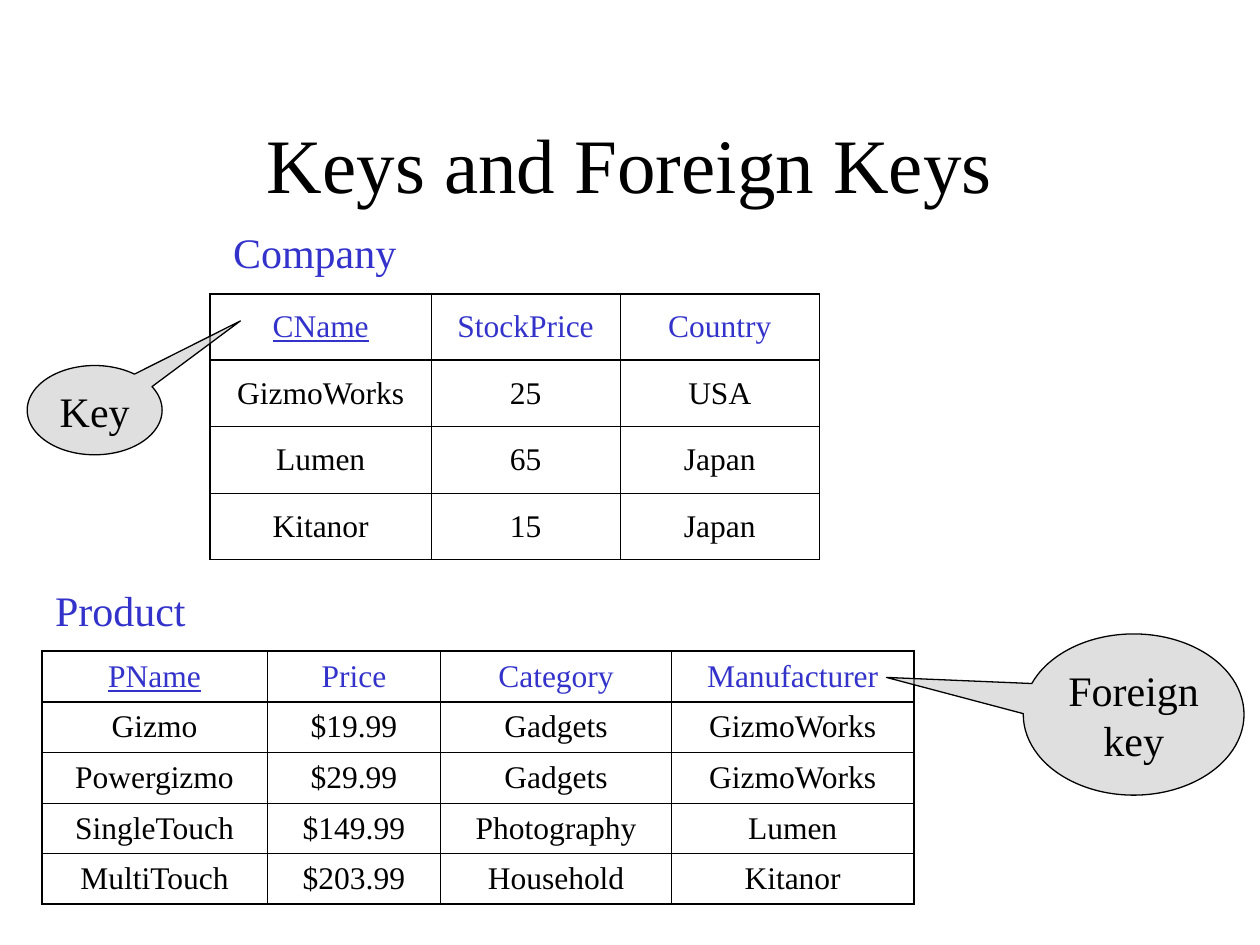
from dataclasses import dataclass

from lxml.etree import SubElement as Sub
from pptx import Presentation as Deck
from pptx.dml.color import RGBColor as Color
from pptx.enum.shapes import MSO_SHAPE as Kind
from pptx.enum.text import MSO_ANCHOR as Anchor, PP_ALIGN as Align
from pptx.oxml.ns import qn
from pptx.util import Cm, Pt


@dataclass(frozen=True)
class Theme:
    face: str = "Times New Roman"
    ink: str = "000000"
    blue: str = "3333CC"
    gray: str = "C0C0C0"
    paper: str = "FFFFFF"
    head: float = 44
    label: float = 24
    body: float = 18
    gap: float = 4.5
    thick: float = 1.08
    thin: float = 0.45
    edge: float = 0.75


@dataclass(frozen=True)
class Box:
    left: float
    top: float
    width: float
    height: float

    def place(self) -> tuple:
        return Cm(self.left), Cm(self.top), Cm(self.width), Cm(self.height)


@dataclass(frozen=True)
class Label:
    text: str
    box: Box
    size: float
    tint: str
    align: Align = Align.LEFT
    anchor: Anchor = Anchor.TOP


@dataclass(frozen=True)
class Grid:
    left: float
    top: float
    cols: tuple
    high: float
    rows: tuple
    fill: str = ""


@dataclass(frozen=True)
class Bubble:
    text: str
    box: Box
    tip: tuple


THEME = Theme()

LABELS = (
    Label("Keys and Foreign Keys", Box(1.9, 1.7, 21.59, 3.18), THEME.head,
          THEME.ink, Align.CENTER, Anchor.MIDDLE),
    Label("Product", Box(0.86, 11.66, 3.6, 1.27), THEME.label, THEME.blue),
    Label("Company", Box(4.45, 4.45, 4.2, 1.27), THEME.label, THEME.blue),
)

GRIDS = (
    Grid(0.84, 13.13, (4.55, 3.49, 4.66, 4.88), 1.02, (
        ("PName", "Price", "Category", "Manufacturer"),
        ("Gizmo", "$19.99", "Gadgets", "GizmoWorks"),
        ("Powergizmo", "$29.99", "Gadgets", "GizmoWorks"),
        ("SingleTouch", "$149.99", "Photography", "Lumen"),
        ("MultiTouch", "$203.99", "Household", "Kitanor"),
    )),
    Grid(4.24, 5.92, (4.45, 3.81, 4.02), 1.34, (
        ("CName", "StockPrice", "Country"),
        ("GizmoWorks", "25", "USA"),
        ("Lumen", "65", "Japan"),
        ("Kitanor", "15", "Japan"),
    ), THEME.paper),
)

BUBBLES = (
    Bubble("Key", Box(0.55, 7.37, 2.72, 1.8), (1.08, -1)),
    Bubble("Foreign\vkey", Box(20.63, 12.78, 4.45, 3.25), (-1.12, -0.23)),
)


def write(frame, text: str, size: float, tint: str, align: Align) -> None:
    para = frame.paragraphs[0]
    para.text = text
    para.alignment = align
    font = para.font
    font.name = THEME.face
    font.size = Pt(size)
    font.color.rgb = Color.from_string(tint)


def add_label(slide, label: Label) -> None:
    frame = slide.shapes.add_textbox(*label.box.place()).text_frame
    frame.word_wrap = True
    frame.vertical_anchor = label.anchor
    write(frame, label.text, label.size, label.tint, label.align)


def rule(cell, sides: dict) -> None:
    props = cell._tc.get_or_add_tcPr()
    for side, thick in sides.items():
        width = Pt(THEME.thick if thick else THEME.thin)
        line = Sub(props, qn(f"a:ln{side}"), w=str(width))
        Sub(Sub(line, qn("a:solidFill")), qn("a:srgbClr"), val=THEME.ink)


def add_grid(slide, grid: Grid) -> None:
    count, span = len(grid.rows), len(grid.cols)
    box = Box(grid.left, grid.top, sum(grid.cols), count * grid.high)
    table = slide.shapes.add_table(count, span, *box.place()).table
    table.first_row = table.horz_banding = False
    for col, width in zip(table.columns, grid.cols):
        col.width = Cm(width)
    for row, texts in enumerate(grid.rows):
        table.rows[row].height = Cm(grid.high)
        for col, text in enumerate(texts):
            cell = table.cell(row, col)
            rule(cell, {"L": col == 0, "R": col == span - 1,
                        "T": row < 2, "B": row in (0, count - 1)})
            if grid.fill:
                cell.fill.solid()
                cell.fill.fore_color.rgb = Color.from_string(grid.fill)
            else:
                cell.fill.background()
            cell.vertical_anchor = Anchor.MIDDLE
            tint = THEME.ink if row else THEME.blue
            write(cell.text_frame, text, THEME.body, tint, Align.CENTER)
            para = cell.text_frame.paragraphs[0]
            para.space_before = Pt(THEME.gap)
            if row == col == 0:
                para.font.underline = True


def add_bubble(slide, item: Bubble) -> None:
    shape = slide.shapes.add_shape(Kind.OVAL_CALLOUT, *item.box.place())
    shape.shadow.inherit = False
    for spot, value in enumerate(item.tip):
        shape.adjustments[spot] = value
    shape.fill.solid()
    shape.fill.fore_color.rgb = Color.from_string(THEME.gray)
    tone = shape._element.spPr.find(qn("a:solidFill")).find(qn("a:srgbClr"))
    Sub(tone, qn("a:alpha"), val="50000")
    shape.line.color.rgb = Color.from_string(THEME.ink)
    shape.line.width = Pt(THEME.edge)
    frame = shape.text_frame
    frame.word_wrap = False
    frame.vertical_anchor = Anchor.MIDDLE
    write(frame, item.text, THEME.label, THEME.ink, Align.CENTER)


def main() -> None:
    deck = Deck()
    deck.slide_width, deck.slide_height = Cm(25.4), Cm(19.05)
    slide = deck.slides.add_slide(deck.slide_layouts[6])
    for label in LABELS:
        add_label(slide, label)
    for grid in GRIDS:
        add_grid(slide, grid)
    for item in BUBBLES:
        add_bubble(slide, item)
    deck.save("out.pptx")


if __name__ == "__main__":
    main()
